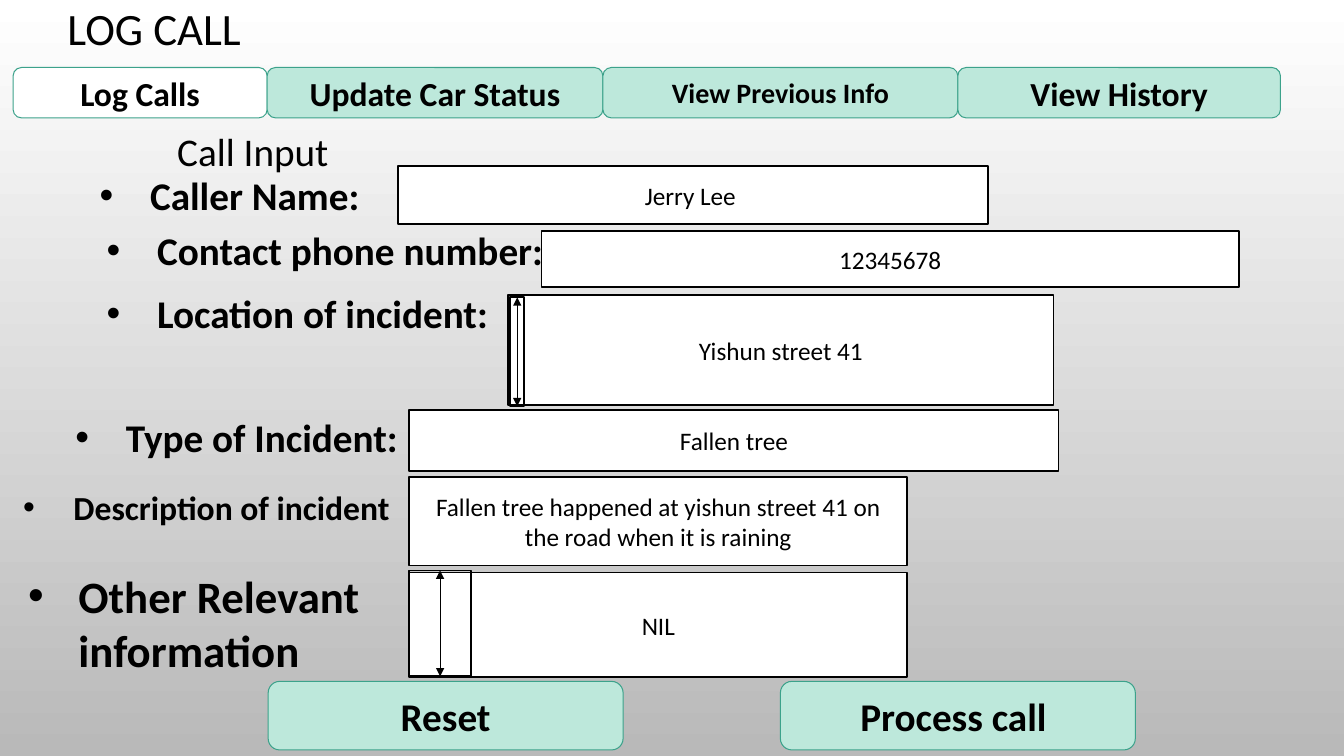
from lxml import etree
from pptx import Presentation
from pptx.dml.color import RGBColor
from pptx.enum.shapes import MSO_CONNECTOR, MSO_SHAPE
from pptx.enum.text import MSO_ANCHOR, PP_ALIGN
from pptx.oxml.ns import qn
from pptx.util import Pt

PX = 9144  # 100 px to the inch
RECT, ROUND = MSO_SHAPE.RECTANGLE, MSO_SHAPE.ROUNDED_RECTANGLE
STRAIGHT = MSO_CONNECTOR.STRAIGHT
LEFT, CENTER = PP_ALIGN.LEFT, PP_ALIGN.CENTER
TOP, MIDDLE = MSO_ANCHOR.TOP, MSO_ANCHOR.MIDDLE

COLORS = {
    "text": "000000", "outline": "000000", "field": "FFFFFF",
    "mint": "BDE8DB", "mint_line": "3CA28B",
    "bg_top": "FFFFFF", "bg_bottom": "B9B9B9",
}

# text, width, size, fill
TABS = [
    ("Log Calls", 252, 24, "field"),
    ("Update Car Status", 333, 24, "mint"),
    ("View Previous Info", 352, 20, "mint"),
    ("View History", 320, 24, "mint"),
]
# label, label box, label size, value, value box
FIELDS = [
    ("Caller Name:", (89, 165, 395, 57), 28,
     "Jerry Lee ", (395, 165, 585, 57)),
    ("Contact phone number:", (96, 220, 565, 57), 28,
     "12345678", (537, 229, 692, 56)),
    ("Location of incident:", (96, 282, 472, 57), 28,
     "Yishun street 41", (504, 293, 541, 109)),
    ("Type of Incident:", (65, 405, 472, 57), 28,
     "Fallen tree", (406, 407, 644, 60)),
    ("Description of incident", (13, 478, 395, 50), 24,
     "Fallen tree happened at yishun street 41 on the road when it is raining",
     (406, 473, 494, 88)),
    ("Other Relevant information", (18, 559, 494, 118), 32,
     "NIL", (406, 568, 494, 104)),
]
SCROLLBARS = [(506, 295, 14, 108), (406, 566, 61, 105)]
BUTTONS = [("Reset", 266), ("Process call ", 774)]


def rgb(name):
    return RGBColor.from_string(COLORS[name])


def emu(box):
    return [v * PX for v in box]


def put_text(sp, text, size, bold=False, align=CENTER, anchor=MIDDLE, bullet=False):
    tf = sp.text_frame
    tf.word_wrap = True
    tf.vertical_anchor = anchor
    p = tf.paragraphs[0]
    p.alignment = align
    if bullet:
        pPr = p._p.get_or_add_pPr()
        pPr.set("marL", str(50 * PX))
        pPr.set("indent", str(-50 * PX))
        etree.SubElement(pPr, qn("a:buFont")).set("typeface", "Arial")
        etree.SubElement(pPr, qn("a:buChar")).set("char", "•")
    r = p.add_run()
    r.text = text
    for name, value in {"name": "Calibri", "size": Pt(size), "bold": bold}.items():
        setattr(r.font, name, value)
    r.font.color.rgb = rgb("text")
    return p


def add_label(slide, box, text, size, **fmt):
    sp = slide.shapes.add_textbox(*emu(box))
    return put_text(sp, text, size, **fmt)


def add_box(slide, box, kind=RECT, fill=None, line="outline", weight=1.25):
    sp = slide.shapes.add_shape(kind, *emu(box))
    sp.shadow.inherit = False
    if fill:
        sp.fill.solid()
        sp.fill.fore_color.rgb = rgb(fill)
    else:
        sp.fill.background()
    sp.line.color.rgb = rgb(line)
    sp.line.width = Pt(weight)
    return sp


def add_button(slide, box, text, size, fill="mint"):
    sp = add_box(slide, box, ROUND, fill, "mint_line", 0.75)
    put_text(sp, text, size, bold=True)


def add_tabs(slide, box):
    x, y, _, h = box
    for text, w, size, fill in TABS:
        add_button(slide, (x, y, w, h), text, size, fill)
        x += w


def add_field(slide, label, label_box, size, value, value_box):
    put_text(add_box(slide, value_box, fill="field"), value, 18)
    add_label(slide, label_box, label, size, bold=True, align=LEFT,
              anchor=TOP, bullet=True)


def add_scrollbar(slide, box):
    """Draw an open bar with a double-headed arrow down its middle."""
    bar = add_box(slide, box)
    arrow = slide.shapes.add_connector(STRAIGHT, 0, 0, 0, 0)
    arrow.begin_connect(bar, 2)
    arrow.end_connect(bar, 0)
    arrow.line.color.rgb = rgb("outline")
    arrow.line.width = Pt(0.75)
    ln = arrow.line._get_or_add_ln()
    for end in ("a:headEnd", "a:tailEnd"):
        etree.SubElement(ln, qn(end)).set("type", "triangle")
    etree.SubElement(arrow._element.spPr, qn("a:effectLst"))


def add_buttons(slide, y, w, h):
    for text, x in BUTTONS:
        add_button(slide, (x, y, w, h), text, 28)


def set_background(slide):
    fill = slide.background.fill
    fill.gradient()
    fill.gradient_angle = 270
    for stop, name in zip(fill.gradient_stops, ("bg_top", "bg_bottom")):
        stop.color.rgb = rgb(name)


def log_call_slide(prs):
    slide = prs.slides.add_slide(prs.slide_layouts[6])
    set_background(slide)
    title = add_label(slide, (13, 7, 280, 48), "LOG CALL", 32)
    title.line_spacing = 0.9
    add_tabs(slide, (13, 67, 1257, 50))
    add_label(slide, (166, 121, 240, 57), "Call Input", 28, align=LEFT, anchor=TOP)
    for field in FIELDS:
        add_field(slide, *field)
    for box in SCROLLBARS:
        add_scrollbar(slide, box)
    add_buttons(slide, 676, 352, 68)


def main():
    prs = Presentation()
    prs.slide_width, prs.slide_height = emu((1333, 750))
    log_call_slide(prs)
    prs.save("out.pptx")


if __name__ == "__main__":
    main()
